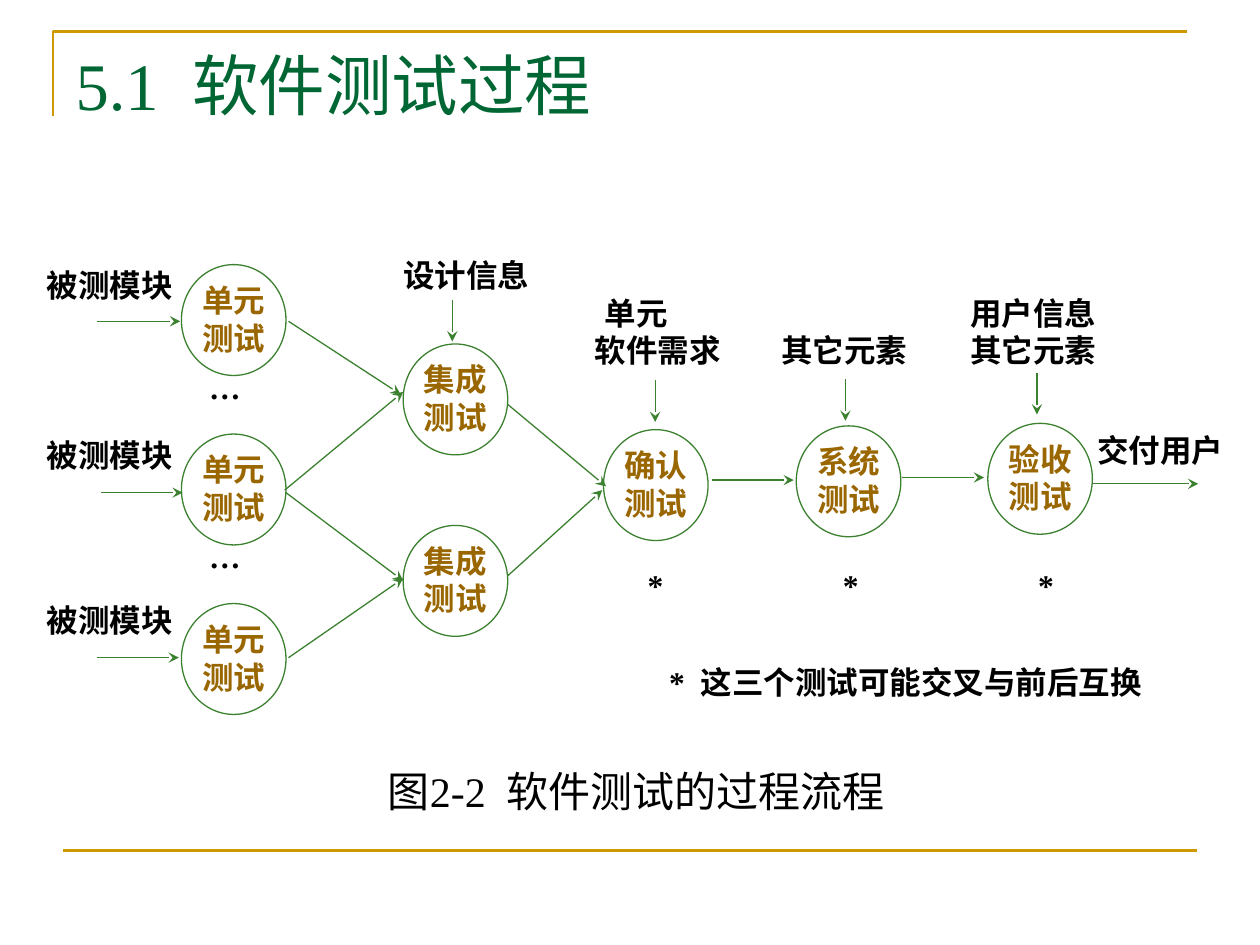
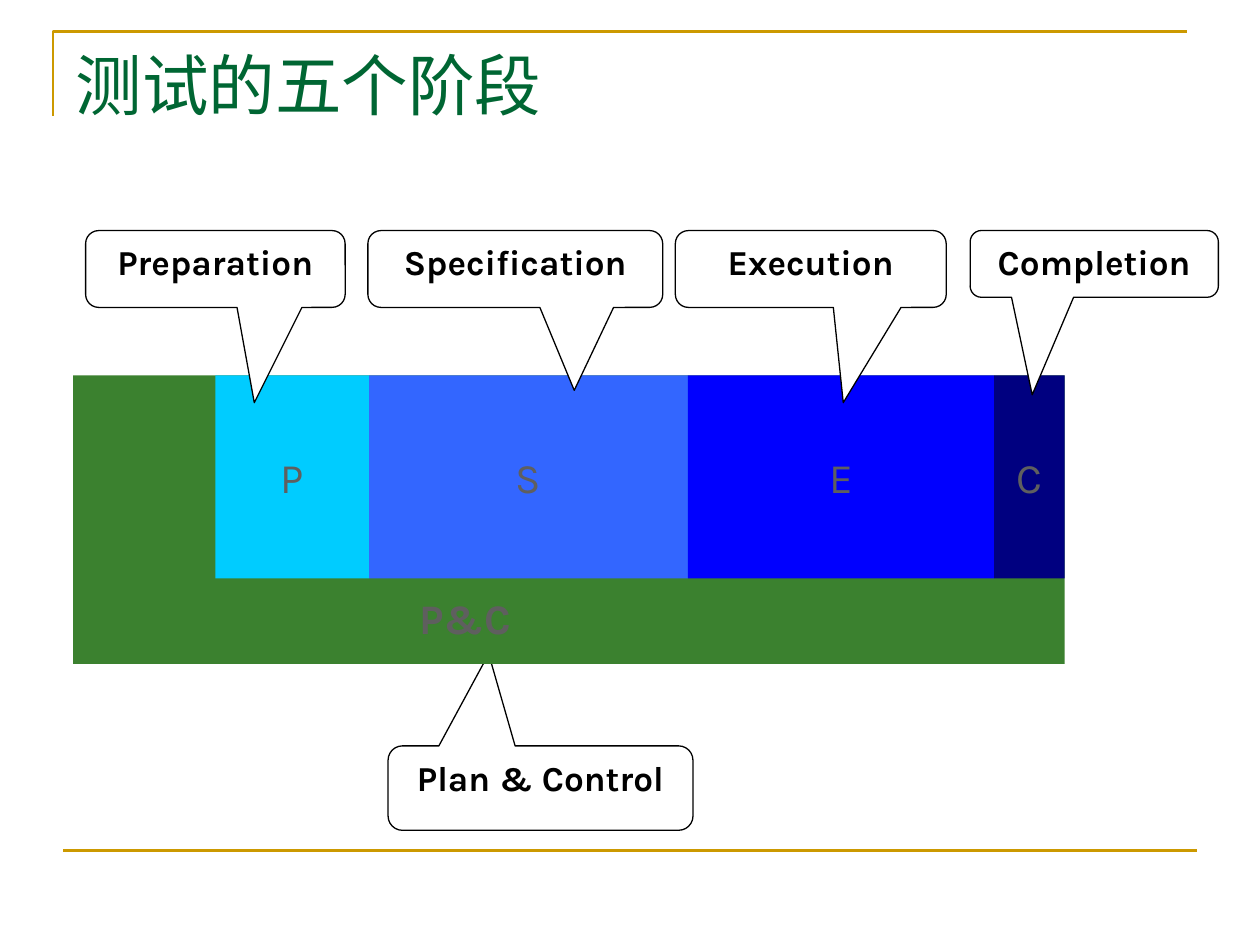
"""Builds two slides on the software testing process."""
from dataclasses import dataclass
from itertools import accumulate

from lxml import etree
from pptx import Presentation
from pptx import util as u
from pptx.dml.color import RGBColor
from pptx.enum import shapes, text
from pptx.oxml.ns import qn

KIND, ALIGN, ANCHOR = shapes.MSO_SHAPE, text.PP_ALIGN, text.MSO_ANCHOR


@dataclass(frozen=True)
class Theme:
    """Holds the colours, faces and type sizes."""
    gold: str = "CC9900"
    green: str = "3B812F"
    brown: str = "996600"
    pine: str = "006633"
    black: str = "000000"
    white: str = "FFFFFF"
    gray: str = "5F5F5F"
    serif: str = "Times New Roman"
    sans: str = "Karla"
    head: int = 38
    big: int = 24
    mid: int = 20
    small: int = 18
    thin: float = 0.75
    thick: float = 1.5


T = Theme()
TITLE = dict(name=T.serif, size=T.head, color=T.pine, bold=False)
NODE = dict(name=T.serif, size=T.small, color=T.brown, bold=True)
LABEL = dict(NODE, color=T.black)
NOTE = dict(name=T.serif, size=T.big, color=T.black)
CALL = dict(name=T.sans, size=T.mid, color=T.black, bold=True)
BAR = dict(name=T.sans, size=T.big, color=T.gray)


def rgb(code):
    """Turn a hex code into a colour."""
    return RGBColor.from_string(code)


def inch(*nums):
    """Turn numbers into lengths."""
    return [u.Inches(n) for n in nums]


def write(shape, lines, style, align=ALIGN.CENTER, anchor=ANCHOR.TOP,
          pad=(0.1, 0.05), wrap=True):
    """Fill a shape with styled lines of text."""
    frame = shape.text_frame
    frame.text = "\n".join(lines)
    side, edge = inch(*pad)
    look = dict(word_wrap=wrap, vertical_anchor=anchor, margin_left=side,
                margin_right=side, margin_top=edge, margin_bottom=edge)
    for key, val in look.items():
        setattr(frame, key, val)
    for para in frame.paragraphs:
        para.alignment = align
        for key, val in style.items():
            if key == "color":
                para.font.color.rgb = rgb(val)
            else:
                setattr(para.font, key, u.Pt(val) if key == "size" else val)


def paint(shape, fill=None, line=None, width=T.thin):
    """Set the fill and line of a shape and drop its shadow."""
    shape.shadow.inherit = False
    if fill:
        shape.fill.solid()
        shape.fill.fore_color.rgb = rgb(fill)
    else:
        shape.fill.background()
    if line:
        shape.line.color.rgb = rgb(line)
        shape.line.width = u.Pt(width)
    else:
        shape.line.fill.background()


def link(slide, start, end, color=T.green, width=T.thin, arrow=True):
    """Draw a straight line, with an arrowhead if wanted."""
    line = slide.shapes.add_connector(
        shapes.MSO_CONNECTOR.STRAIGHT, *inch(*start, *end))
    line.line.color.rgb = rgb(color)
    line.line.width = u.Pt(width)
    props = line._element.spPr
    if arrow:
        etree.SubElement(props.find(qn("a:ln")), qn("a:tailEnd"), type="stealth")
    etree.SubElement(props, qn("a:effectLst"))


def label(slide, left, top, lines, wide=1.1, high=0.38, style=LABEL,
          align=ALIGN.LEFT, pad=(0.02, 0)):
    """Add a text box and return it."""
    box = slide.shapes.add_textbox(*inch(left, top, wide, high))
    write(box, lines, style, align, pad=pad)
    return box


def start(deck, title):
    """Add a slide with the shared title and gold rules."""
    slide = deck.slides.add_slide(deck.slide_layouts[5])
    pen = slide.shapes.build_freeform(*inch(0.42, 0.92))
    pen.add_line_segments([inch(0.42, 0.25), inch(9.42, 0.25)], close=False)
    paint(pen.convert_to_shape(), line=T.gold, width=T.thick)
    link(slide, (0.5, 6.75), (9.5, 6.75), T.gold, T.thick, arrow=False)
    head = slide.shapes.title
    head.left, head.top, head.width, head.height = inch(0.5, 0.3, 9, 1.25)
    write(head, [title], TITLE, ALIGN.LEFT)
    return slide


def flow(slide, box):
    """Draw the test flow of nodes, arrows and labels."""
    x, y = box[:2]
    nodes = [("单元", 1.09, 0.07 + 1.345 * i) for i in range(3)]
    nodes += [("集成", 2.85, 0.7), ("集成", 2.85, 2.14), ("确认", 4.44, 1.38),
              ("系统", 5.97, 1.35), ("验收", 7.49, 1.33)]
    for name, dx, dy in nodes:
        node = slide.shapes.add_shape(
            KIND.OVAL, *inch(x + dx, y + dy, 0.83, 0.88))
        paint(node, line=T.green)
        write(node, [name, "测试"], NODE, pad=(0, 0))

    across = [(0.42, 0.52, 0.66), (0.45, 1.88, 0.65), (0.42, 3.19, 0.65),
              (5.3, 1.78, 0.65), (6.81, 1.76, 0.65), (8.32, 1.81, 0.84)]
    down = [(3.24, 0.35), (4.85, 0.99), (6.36, 0.98), (7.88, 0.93)]
    slant = [(1.94, 0.52, 2.83, 1.1), (1.91, 1.86, 2.85, 1.08),
             (1.92, 1.88, 2.85, 2.58), (1.94, 3.19, 2.85, 2.56),
             (3.68, 1.18, 4.46, 1.83), (3.68, 2.54, 4.43, 1.86)]
    arrows = [(a, b, a + run, b) for a, b, run in across]
    arrows += [(a, b, a, b + 0.33) for a, b in down] + slant
    for a, b, c, d in arrows:
        link(slide, (x + a, y + b), (x + c, y + d))

    marks = [(0, dy, "被测模块") for dy in (0.08, 1.43, 2.74)]
    marks += [(1.29, dy, "…") for dy in (0.89, 2.23)]
    marks += [(4.77 + 1.55 * i, 2.46, "*") for i in range(3)]
    marks += [(2.83, 0, "设计信息"), (5.83, 0.6, "其它元素"),
              (8.34, 1.39, "交付用户")]
    for dx, dy, word in marks:
        label(slide, x + dx, y + dy, [word])
    need = label(slide, x + 4.35, y + 0.3, ["单元", "软件需求"], high=0.66)
    need.text_frame.paragraphs[0]._p.get_or_add_pPr().set(
        "indent", str(u.Inches(0.08)))
    label(slide, x + 7.33, y + 0.3, ["用户信息", "其它元素"], high=0.66)
    label(slide, x + 4.94, y + 3.23, ["*  这三个测试可能交叉与前后互换"], 4.12)


def callout(slide, box, word, tip):
    """Draw a speech box whose tip is set as shares of its size."""
    shape = slide.shapes.add_shape(KIND.ROUNDED_RECTANGULAR_CALLOUT, *inch(*box))
    for i, val in enumerate((*tip, 0.17)):
        shape.adjustments[i] = val
    paint(shape, T.white, T.black)
    write(shape, [word], CALL)


def block(slide, box, fill):
    """Draw a plain filled rectangle and return it."""
    shape = slide.shapes.add_shape(KIND.RECTANGLE, *inch(*box))
    paint(shape, fill)
    return shape


def phases(slide, box):
    """Draw the phase bars on their base and the callouts."""
    x, y, wide, _ = box
    callout(slide, (x + 2.5, y + 4.09, 2.42, 0.67), "Plan & Control",
            (-0.17, -1.59))
    block(slide, (x, y + 1.15, wide, 2.29), T.green)
    label(slide, x + 2.5, y + 2.82, ["P&C"], 1.22, 0.5, dict(BAR, bold=True),
          ALIGN.CENTER, (0, 0.05))
    bars = [("P", 1.22, "00CCFF"), ("S", 2.53, "3366FF"),
            ("E", 2.43, "0000FF"), ("C", 0.56, "000080")]
    lefts = accumulate((bar[1] for bar in bars), initial=x + 1.13)
    for (word, span, fill), left in zip(bars, lefts):
        bar = block(slide, (left, y + 1.15, span, 1.61), fill)
        write(bar, [word], BAR, anchor=ANCHOR.MIDDLE, wrap=False)
    calls = [("Preparation", 0.1, 2.06, 0.61, (0.15, 1.74)),
             ("Specification", 2.34, 2.34, 0.61, (0.2, 1.58)),
             ("Execution", 4.78, 2.15, 0.61, (0.12, 1.74)),
             ("Completion", 7.12, 1.97, 0.53, (-0.25, 1.96))]
    for word, dx, span, high, tip in calls:
        callout(slide, (x + dx, y, span, high), word, tip)


def main():
    """Build and save the deck."""
    deck = Presentation()
    deck.slide_width, deck.slide_height = inch(10, 7.5)
    slide = start(deck, "5.1  软件测试过程")
    flow(slide, (0.35, 2.03, 9.45, 3.9))
    label(slide, 2.01, 6.03, ["图2-2  软件测试的过程流程"], 6.08, 0.5, NOTE,
          ALIGN.CENTER, (0.1, 0.05))
    phases(start(deck, "测试的五个阶段"), (0.58, 1.83, 7.87, 4.76))
    deck.save("out.pptx")


if __name__ == "__main__":
    main()
